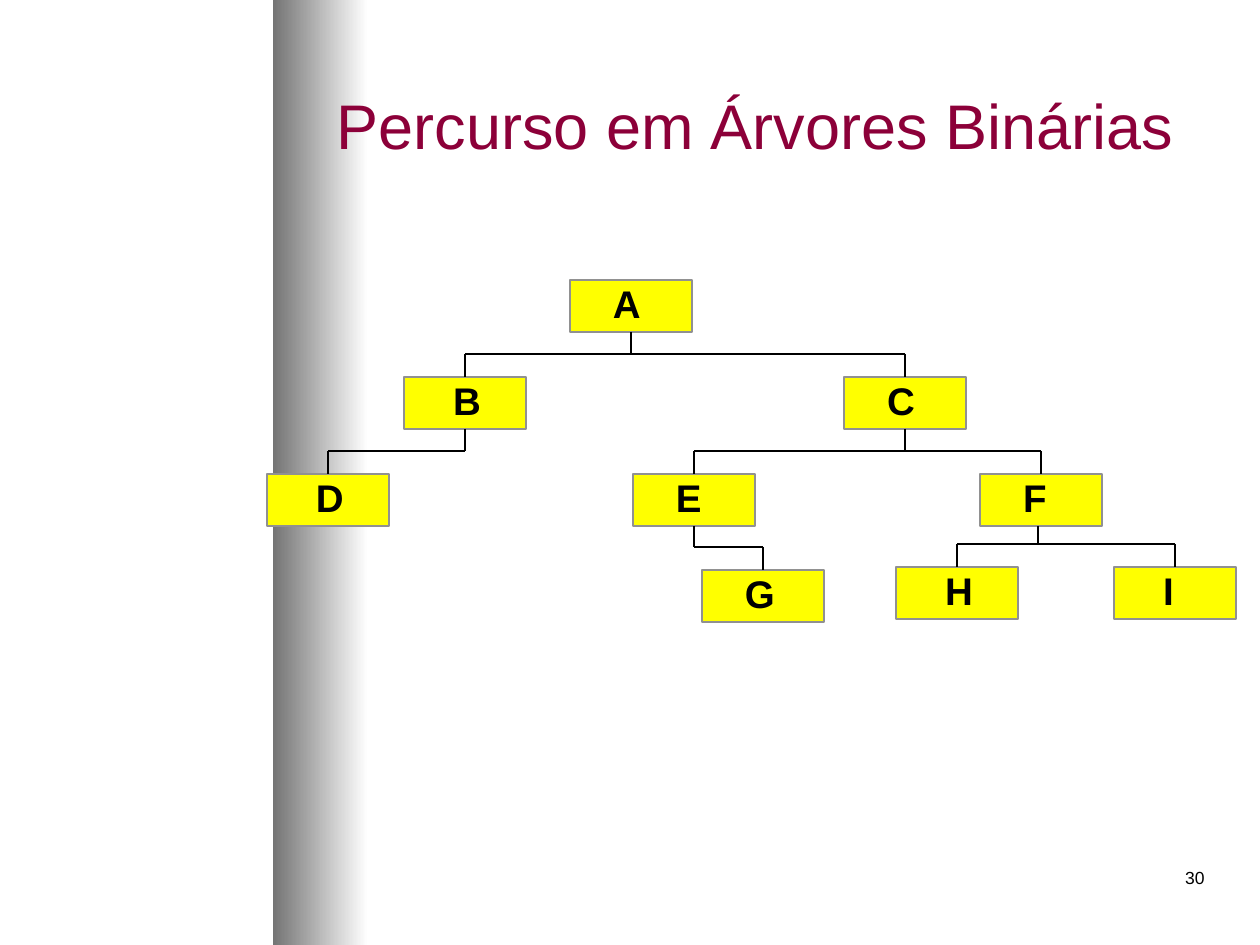
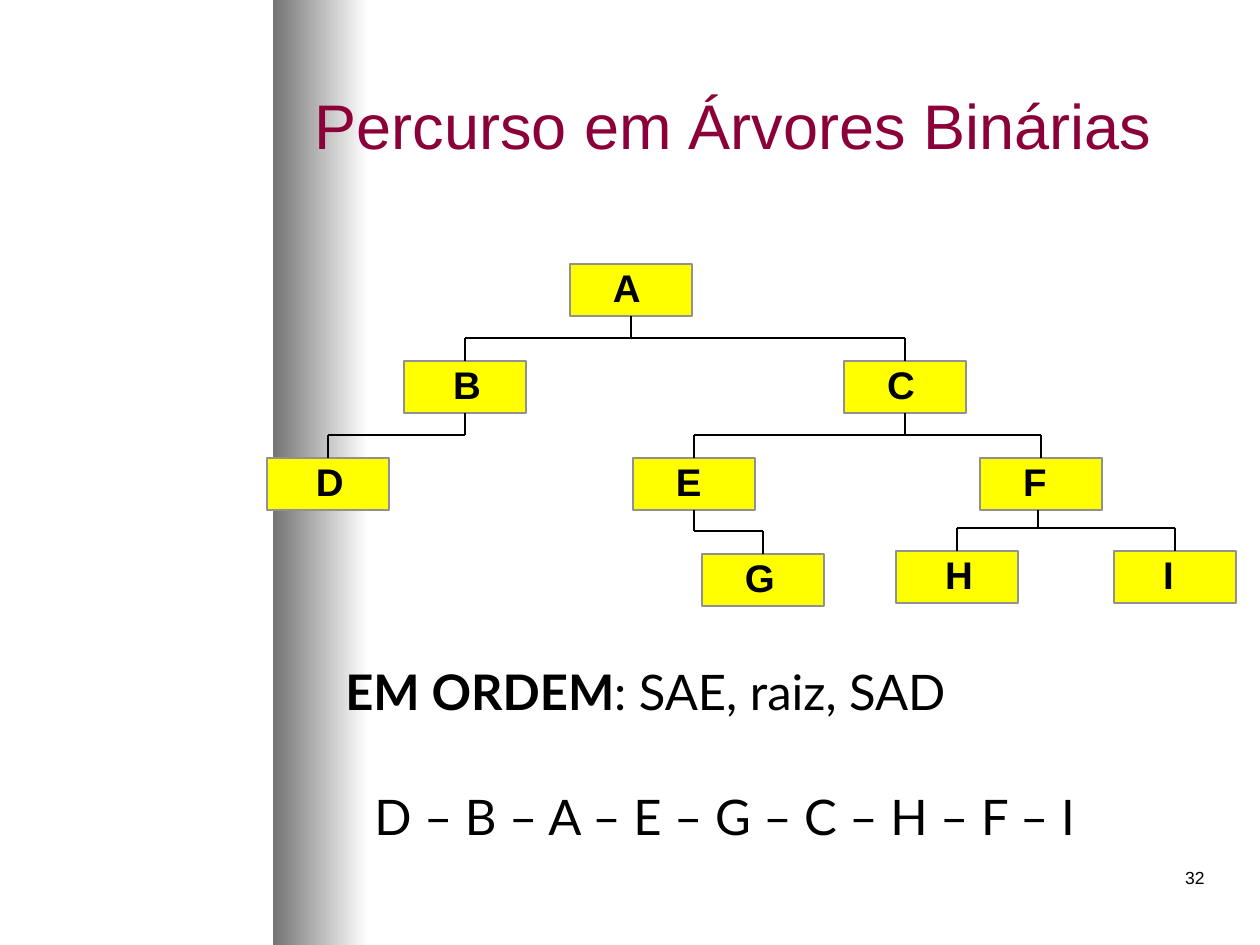
from lxml.etree import SubElement
from pptx import Presentation
from pptx.dml.color import RGBColor
from pptx.enum.shapes import MSO_CONNECTOR, MSO_SHAPE
from pptx.enum.text import MSO_ANCHOR, MSO_AUTO_SIZE, PP_ALIGN
from pptx.oxml.ns import qn
from pptx.util import Pt

SCALE = 914400 / 126
PAGE_WIDTH, PAGE_HEIGHT = 1260, 945
TITLE = "Percurso em Árvores Binárias"

NODE_WIDTH, NODE_HEIGHT = 122, 52
BRANCH_HEIGHT = 23
NODES = {
    "A": (570, 0, 43),
    "B": (404, 97, 49),
    "C": (844, 97, 43),
    "D": (267, 194, 49),
    "E": (633, 194, 43),
    "F": (980, 194, 43),
    "G": (702, 290, 43),
    "H": (896, 287, 49),
    "I": (1114, 287, 49),
}
CHILDREN = {"A": "BC", "B": "D", "C": "EF", "E": "G", "F": "HI"}
STEM_SHIFT = {"F": -3}


def px(length):
    return round(length * SCALE)


def color(value):
    return RGBColor.from_string(value)


class TreeDeck:
    ink = "000000"
    title_color = "8C0039"
    node_fill = "FFFF00"
    node_line = "919191"
    heading_font = "Arial"
    body_font = "Lato"

    def __init__(self):
        self.deck = Presentation()
        self.deck.slide_width = px(PAGE_WIDTH)
        self.deck.slide_height = px(PAGE_HEIGHT)
        self.page = None

    def start_page(self, title_left, title_width, number):
        self.page = self.deck.slides.add_slide(self.deck.slide_layouts[5])
        title = self.page.shapes.title
        title.left, title.top = px(title_left), px(45)
        title.width, title.height = px(title_width), px(158)
        title.text_frame.auto_size = MSO_AUTO_SIZE.NONE
        title.text_frame.vertical_anchor = MSO_ANCHOR.MIDDLE
        self.set_text(title, [(TITLE, False)], 36, self.heading_font, self.title_color)
        self.text_box(955, 861, 262, 63, [(number, False)], 10,
                      self.heading_font, PP_ALIGN.RIGHT)

    def set_text(self, box, spans, size, font, ink, align=PP_ALIGN.LEFT):
        para = box.text_frame.paragraphs[0]
        para.alignment = align
        para.font.size = Pt(size)
        para.font.name = font
        para.font.color.rgb = color(ink)
        for text, bold in spans:
            span = para.add_run()
            span.text = text
            span.font.bold = bold

    def text_box(self, left, top, width, height, spans, size, font,
                 align=PP_ALIGN.LEFT):
        box = self.page.shapes.add_textbox(px(left), px(top), px(width), px(height))
        box.text_frame.word_wrap = True
        self.set_text(box, spans, size, font, self.ink, align)

    def rectangle(self, left, top, width, height):
        box = self.page.shapes.add_shape(
            MSO_SHAPE.RECTANGLE, px(left), px(top), px(width), px(height))
        box.shadow.inherit = False
        return box

    def master_band(self):
        band = self.rectangle(273, 0, 95, PAGE_HEIGHT)
        band.line.fill.background()
        band.fill.gradient()
        band.fill.gradient_angle = 0
        for stop, shade in zip(band.fill.gradient_stops, ("747474", "FFFFFF")):
            stop.color.rgb = color(shade)
        self.deck.slide_master.shapes.element.insert(2, band.element)

    def node(self, name, left, top, indent):
        box = self.rectangle(left, top, NODE_WIDTH, NODE_HEIGHT)
        box.fill.solid()
        box.fill.fore_color.rgb = color(self.node_fill)
        box.line.color.rgb = color(self.node_line)
        box.line.width = Pt(0.75)
        frame = box.text_frame
        frame.word_wrap = True
        frame.vertical_anchor = MSO_ANCHOR.TOP
        frame.margin_left = px(indent)
        frame.margin_top = frame.margin_right = frame.margin_bottom = 0
        self.set_text(box, [(name, True)], 22, self.heading_font, self.ink)
        return box

    def line(self, start_x, start_y, end_x, end_y):
        line = self.page.shapes.add_connector(
            MSO_CONNECTOR.STRAIGHT, px(start_x), px(start_y), px(end_x), px(end_y))
        line.line.color.rgb = color(self.ink)
        line.line.width = Pt(0.75)
        SubElement(line.element.spPr, qn("a:effectLst"))
        return line

    def tree(self, tree_top):
        boxes = {name: self.node(name, left, tree_top + top, indent)
                 for name, (left, top, indent) in NODES.items()}
        for parent, children in CHILDREN.items():
            parent_left, parent_top, _ = NODES[parent]
            shift = STEM_SHIFT.get(parent, 0)
            stem_x = parent_left + NODE_WIDTH // 2 + shift
            parent_bottom = tree_top + parent_top + NODE_HEIGHT
            branch_y = tree_top + NODES[children[0]][1] - BRANCH_HEIGHT
            stem = self.line(stem_x, parent_bottom, stem_x, branch_y)
            if not shift:
                stem.begin_connect(boxes[parent], 2)
            for child in children:
                child_x = NODES[child][0] + NODE_WIDTH // 2
                self.line(stem_x, branch_y, child_x, branch_y)
                drop = self.line(child_x, branch_y, child_x, branch_y + BRANCH_HEIGHT)
                drop.end_connect(boxes[child], 0)


def main():
    slides = TreeDeck()

    slides.start_page(324, 902, "30")
    slides.master_band()
    slides.tree(280)

    slides.start_page(302, 895, "32")
    slides.tree(264)
    slides.text_box(333, 655, 893, 115,
                    [("EM ORDEM", True), (": SAE, raiz, SAD", False)],
                    28, slides.body_font)
    slides.text_box(362, 780, 833, 95, [(" – ".join("DBAEGCHFI"), False)],
                    28, slides.body_font)

    slides.deck.save("out.pptx")


if __name__ == "__main__":
    main()
